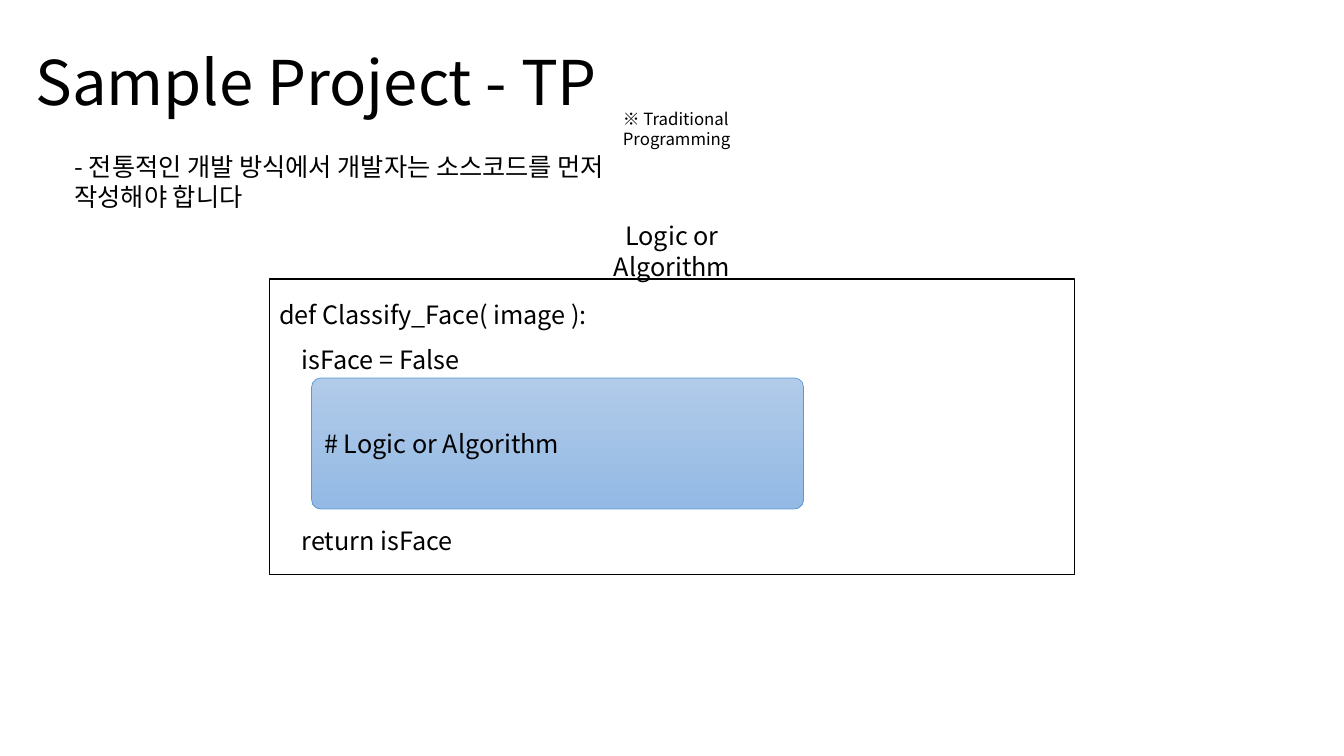
from lxml import etree
from pptx import Presentation
from pptx.dml.color import RGBColor
from pptx.enum.shapes import MSO_SHAPE
from pptx.enum.text import MSO_ANCHOR, PP_ALIGN
from pptx.oxml.ns import qn
from pptx.util import Inches, Pt

RECT, ROUND = MSO_SHAPE.RECTANGLE, MSO_SHAPE.ROUNDED_RECTANGLE
TOP, MIDDLE = MSO_ANCHOR.TOP, MSO_ANCHOR.MIDDLE
LEFT, CENTER = PP_ALIGN.LEFT, PP_ALIGN.CENTER
FONT = "Noto Sans CJK KR"
BLACK, WHITE, BLUE = "000000", "FFFFFF", "5B9BD5"
CODE_GAP = 96.4


def rgb(value):
    """Return the colour for a hex string."""
    return RGBColor.from_string(value)


def add_run(p, text, size):
    """Add one black run in the slide font, Latin and East Asian."""
    r = p.add_run()
    r.text = text
    r.font.size = Pt(size)
    r.font.name = FONT
    r.font.color.rgb = rgb(BLACK)
    etree.SubElement(r._r.get_or_add_rPr(), qn("a:ea"), typeface=FONT)


def set_text(sp, text, size, align=LEFT, anchor=TOP):
    """Write a single wrapped paragraph into a shape."""
    tf = sp.text_frame
    tf.word_wrap = True
    tf.vertical_anchor = anchor
    p = tf.paragraphs[0]
    p.alignment = align
    add_run(p, text, size)


def add_title(s, text, x, y, w, h):
    """Place and fill the title placeholder."""
    sp = s.shapes.title
    sp.left, sp.top, sp.width, sp.height = map(Inches, (x, y, w, h))
    set_text(sp, text, 44)


def add_label(s, text, size, x, y, w, h, align=LEFT):
    """Add a text box."""
    set_text(s.shapes.add_textbox(*map(Inches, (x, y, w, h))), text, size, align)


def add_panel(s, kind, line, weight, x, y, w, h):
    """Add an outlined shape without shadow."""
    sp = s.shapes.add_shape(kind, *map(Inches, (x, y, w, h)))
    sp.shadow.inherit = False
    sp.line.color.rgb = rgb(line)
    sp.line.width = Pt(weight)
    return sp


def add_code(s, x, y, w, h):
    """Draw the function listing with its highlighted logic block."""
    sp = add_panel(s, RECT, BLACK, 1, x, y, w, h)
    sp.fill.solid()
    sp.fill.fore_color.rgb = rgb(WHITE)
    tf = sp.text_frame
    tf.word_wrap = True
    tf.vertical_anchor = TOP
    lines = [("def Classify_Face( image ):", 0), ("    isFace = False", 0),
             ("    return isFace", CODE_GAP)]
    for i, (text, gap) in enumerate(lines):
        p = tf.add_paragraph() if i else tf.paragraphs[0]
        p.alignment = LEFT
        p.line_spacing = 1.5
        p.space_before = Pt(gap)
        add_run(p, text, 18)

    block = add_panel(s, ROUND, BLUE, 0.5, x + 0.42, y + 0.98, 4.88, 1.3)
    block.adjustments[0] = 0.07
    block.fill.gradient()
    block.fill.gradient_angle = 270
    for stop, color in zip(block.fill.gradient_stops, ("B1CBE9", "93B9E4")):
        stop.color.rgb = rgb(color)
    for stop, position in zip(block.fill.gradient_stops, (0, 1)):
        stop.position = position
    set_text(block, "# Logic or Algorithm", 18, anchor=MIDDLE)


def main():
    """Build and save the slide."""
    prs = Presentation()
    prs.slide_width, prs.slide_height = Inches(13.33), Inches(7.5)
    s = prs.slides.add_slide(prs.slide_layouts[5])
    add_title(s, "Sample Project - TP", 0.25, 0.39, 6.85, 0.84)
    add_label(s, "- 전통적인 개발 방식에서 개발자는 소스코드를 먼저 작성해야 합니다",
              18, 0.64, 1.45, 5.85, 0.4)
    add_code(s, 2.67, 2.77, 7.99, 2.93)
    add_label(s, "Logic or Algorithm", 18, 5.66, 2.14, 2.01, 0.4, CENTER)
    add_label(s, "※ Traditional Programming", 12, 6.08, 1.03, 2.03, 0.3)
    prs.save("out.pptx")


if __name__ == "__main__":
    main()
